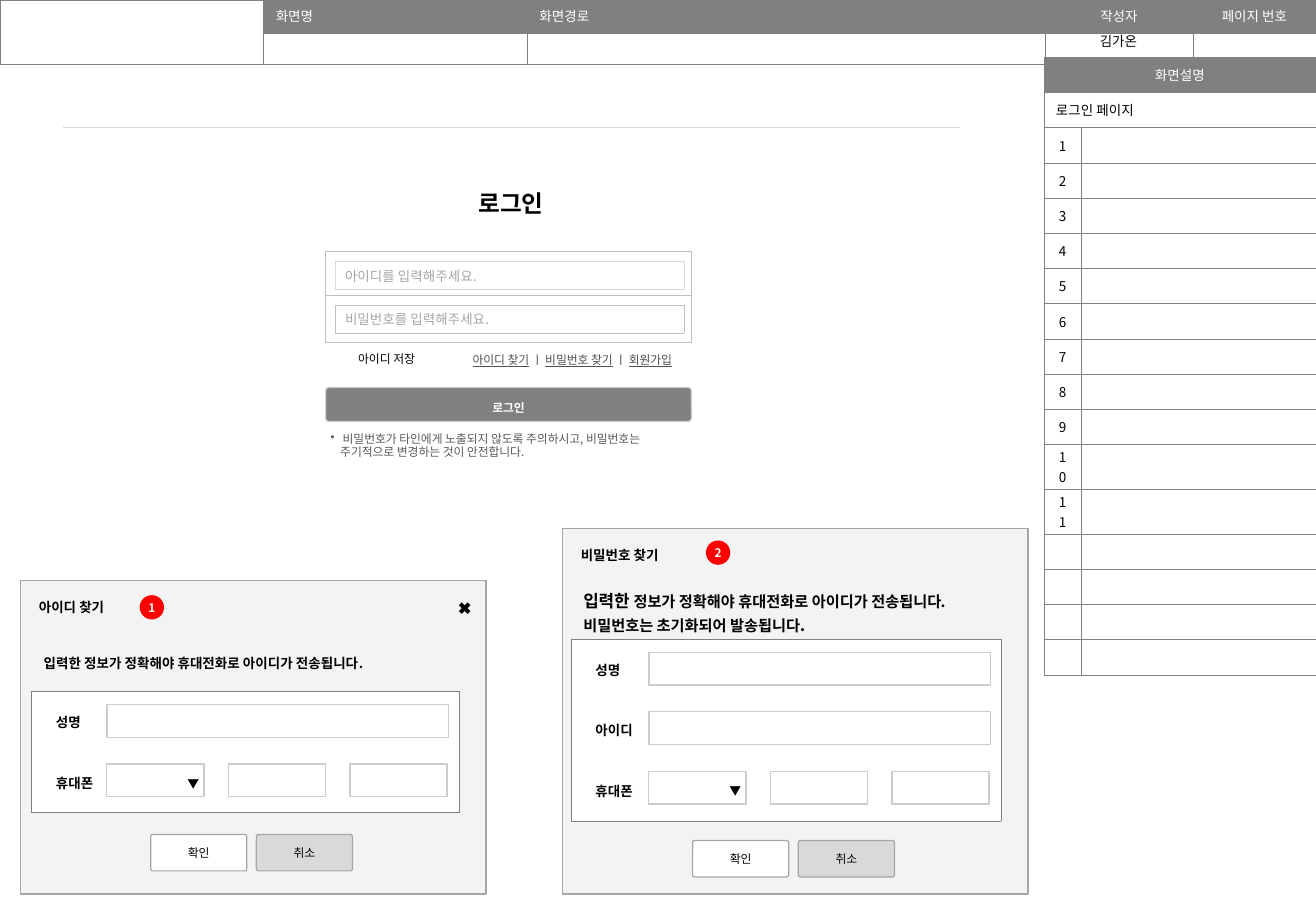
from lxml.etree import SubElement
from pptx import Presentation
from pptx.dml.color import RGBColor
from pptx.enum.shapes import MSO_CONNECTOR, MSO_SHAPE
from pptx.enum.text import MSO_ANCHOR as Anchor, PP_ALIGN as Align
from pptx.oxml.ns import qn
from pptx.util import Inches, Pt

FONT = "Noto Sans CJK KR"
GRAY, SILVER, PALE, BLACK, WHITE = "808080", "BFBFBF", "D9D9D9", "000000", "FFFFFF"
NO_GRID = "{2D5ABB26-0587-4C30-8999-92F81FD0307C}"
SIDES = {"l": "a:lnL", "r": "a:lnR", "t": "a:lnT", "b": "a:lnB"}


def rgb(value):
    """Turn a hex string into a colour."""
    return RGBColor.from_string(value)


def write(frame, lines, size=8, color=BLACK, align=Align.LEFT, spacing=None, **style):
    """Fill a text frame with lines, each a string or a list of (text, format) runs."""
    for index, line in enumerate(lines):
        paragraph = frame.paragraphs[0] if index == 0 else frame.add_paragraph()
        paragraph.alignment = align
        if spacing:
            paragraph.line_spacing = spacing
        for words, extra in [(line, {})] if isinstance(line, str) else line:
            run = paragraph.add_run()
            run.text = words
            run.font.color.rgb = rgb(color)
            for name, value in {"name": FONT, "size": Pt(size), **style, **extra}.items():
                setattr(run.font, name, value)
            SubElement(run.font._element, qn("a:ea")).set("typeface", FONT)


def pad(holder, insets):
    """Set the four margins of a cell or a text frame."""
    for side, inset in zip(("left", "top", "right", "bottom"), insets):
        setattr(holder, f"margin_{side}", Inches(inset))


def label(slide, box, lines, insets=(0, 0, 0, 0), anchor=Anchor.MIDDLE, **style):
    """Place text without an outline."""
    frame = slide.shapes.add_textbox(*map(Inches, box)).text_frame
    frame.word_wrap = True
    frame.vertical_anchor = anchor
    pad(frame, insets)
    write(frame, lines, **style)
    return frame


def block(slide, box, fill, line=None, radius=0, text=None, insets=(0, 0, 0, 0), **style):
    """Place a filled rectangle, rounded by radius, with optional text."""
    kind = MSO_SHAPE.ROUNDED_RECTANGLE if radius else MSO_SHAPE.RECTANGLE
    shape = slide.shapes.add_shape(kind, *map(Inches, box))
    shape.shadow.inherit = False
    if radius:
        shape.adjustments[0] = radius
    shape.fill.solid()
    shape.fill.fore_color.rgb = rgb(fill)
    if line:
        shape.line.color.rgb = rgb(line)
        shape.line.width = Pt(0.75)
    else:
        shape.line.fill.background()
    if text:
        shape.text_frame.vertical_anchor = Anchor.MIDDLE
        pad(shape.text_frame, insets)
        write(shape.text_frame, [text], **style)


def border(cell, sides, color=GRAY, width=0.25):
    """Draw the named sides of a cell and clear the others."""
    properties = cell._tc.get_or_add_tcPr()
    for position, (side, tag) in enumerate(SIDES.items()):
        for earlier in properties.findall(qn(tag)):
            properties.remove(earlier)
        edge = properties.makeelement(qn(tag), {"w": str(Pt(width))})
        if side in sides:
            SubElement(SubElement(edge, qn("a:solidFill")), qn("a:srgbClr")).set("val", color)
        else:
            SubElement(edge, qn("a:noFill"))
        properties.insert(position, edge)


def grid(slide, left, top, columns, rows, sides="lrtb", color=GRAY, width=0.25):
    """Add a plain table with the given column widths and row heights."""
    box = (left, top, sum(columns), sum(rows))
    table = slide.shapes.add_table(len(rows), len(columns), *map(Inches, box)).table
    table.first_row = table.horz_banding = False
    table._tbl.tblPr.find(qn("a:tableStyleId")).text = NO_GRID
    for column, span in zip(table.columns, columns):
        column.width = Inches(span)
    for row, height in zip(table.rows, rows):
        row.height = Inches(height)
    for cell in table.iter_cells():
        cell.fill.background()
        border(cell, sides, color, width)
        cell.text_frame.paragraphs[0]._p.get_or_add_endParaRPr().set("sz", "800")
    return table


def paint(cell, fill):
    """Fill a cell with one colour."""
    cell.fill.solid()
    cell.fill.fore_color.rgb = rgb(fill)


def page_header(slide, left, top):
    """Build the strip with screen name, route, author and page number."""
    header = grid(slide, left, top, (2.17, 2.17, 4.26, 1.22, 1.01), (0.27, 0.26))
    header.cell(0, 0).merge(header.cell(1, 0))
    for column, title in enumerate(("화면명", "화면경로", "작성자", "페이지 번호"), 1):
        cell = header.cell(0, column)
        paint(cell, GRAY)
        write(cell.text_frame, [title], color=WHITE, align=Align.CENTER if column > 2 else Align.LEFT)
    label(slide, (left + 8.59, top + 0.22, 1.23, 0.24), ["김가온"], (0.1, 0.05, 0.1, 0.05),
          Anchor.TOP, align=Align.CENTER)


def description_panel(slide, left, top):
    """Build the numbered list of screen notes."""
    heights = [0.29] * 11 + [0.37] * 2 + [0.29] * 4
    notes = grid(slide, left, top, (0.31, 1.93), heights)
    for cell in notes.iter_cells():
        cell.vertical_anchor = Anchor.MIDDLE
        pad(cell, (0.1, 0.02, 0.1, 0.02))
    for row in range(2):
        notes.cell(row, 0).merge(notes.cell(row, 1))
    paint(notes.cell(0, 0), GRAY)
    write(notes.cell(0, 0).text_frame, ["화면설명"], color=WHITE, align=Align.CENTER)
    write(notes.cell(1, 0).text_frame, ["로그인 페이지"])
    for number in range(1, 12):
        write(notes.cell(number + 1, 0).text_frame, [str(number)], align=Align.CENTER)


def login_form(slide, left, top, width):
    """Build the login title, inputs, links, button and advice."""
    label(slide, (left - 0.69, top - 0.54, 4.43, 0.28), ["로그인"], size=14, bold=True, align=Align.CENTER)
    grid(slide, left, top, [width], (0.36, 0.39), color=SILVER)
    prompts = (("아이디를 입력해주세요.", PALE, 0.75), ("비밀번호를 입력해주세요.", SILVER, 0.25))
    for index, (prompt, color, weight) in enumerate(prompts):
        entry = grid(slide, left + 0.08, top + 0.08 + 0.36 * index, [2.87], [0.23],
                     color=color, width=weight).cell(0, 0)
        entry.vertical_anchor = Anchor.MIDDLE
        pad(entry, (0.08, 0.02, 0.08, 0.02))
        paint(entry, WHITE)
        write(entry.text_frame, [prompt], color="A6A6A6")
    block(slide, (left, top + 1.12, width, 0.28), GRAY, "CCCCCC", 0.1, "로그인", [0.02] * 4,
          size=7, color=WHITE, bold=True, align=Align.CENTER, spacing=1.5)
    advice = label(slide, (left, top + 1.46, width, 0.28),
                   ["비밀번호가 타인에게 노출되지 않도록 주의하시고, 비밀번호는", "주기적으로 변경하는 것이 안전합니다."],
                   [0.04] * 4, size=7, color="595959", spacing=0.95)
    first, second = (paragraph._p.get_or_add_pPr() for paragraph in advice.paragraphs)
    first.set("marL", str(Inches(0.1)))
    first.set("indent", str(Inches(-0.1)))
    SubElement(first, qn("a:buChar")).set("char", "•")
    second.set("marL", str(Inches(0.08)))
    linked, divider = {"underline": True}, (" ㅣ ", {})
    label(slide, (left + 0.98, top + 0.75, 2.1, 0.23),
          [[("아이디 찾기", linked), divider, ("비밀번호 찾기", linked), divider, ("회원가입", linked)]],
          size=7, color="505050", align=Align.CENTER, spacing=1.5)
    label(slide, (left + 0.17, top + 0.78, 0.77, 0.22), ["아이디 저장"], (0.1, 0.05, 0.1, 0.05),
          Anchor.TOP, size=7)


def find_dialog(slide, box, title, badge, notice, fields, margin, buttons_top, closable=False):
    """Build a lookup dialog whose last field is a three-part phone number."""
    left, top, width, height = box
    block(slide, box, "F3F3F3", "A6A6A6")
    label(slide, (left + 0.15, top + 0.07, 3.4, 0.3), [title], bold=True)
    if closable:
        label(slide, (left + 3.52, top + 0.07, 0.27, 0.3), ["✖"], size=10, align=Align.CENTER)
    for index, (action, fill) in enumerate((("확인", WHITE), ("취소", PALE))):
        block(slide, (left + 1.07 + 0.87 * index, buttons_top, 0.79, 0.3), fill, "A6A6A6", 0.06,
              action, size=7, align=Align.CENTER)

    form_top, last = top + 0.44, len(fields)
    form = grid(slide, left + margin, form_top, (0.83, width - margin - 1.05), [0.47] + [0.5] * last, sides="")
    for column in range(2):
        border(form.cell(0, column), "b")
    form.cell(0, 0).merge(form.cell(0, 1))
    form.cell(0, 0).vertical_anchor = Anchor.MIDDLE
    write(form.cell(0, 0).text_frame, notice, bold=True)
    for row, field in enumerate(fields, 1):
        for column, side in enumerate("lr"):
            cell = form.cell(row, column)
            paint(cell, WHITE)
            border(cell, side + "t" * (row == 1) + "b" * (row == last))
        name = form.cell(row, 0)
        name.vertical_anchor = Anchor.MIDDLE
        pad(name, (0.2, 0.05, 0.2, 0.05))
        write(name.text_frame, [field], bold=True)
        entry_top = form_top + 0.09 + 0.49 * row
        if row < last:
            block(slide, (left + 0.71, entry_top, 2.81, 0.27), WHITE, "CCCCCC")
            continue
        for part, mark in enumerate(("▼", None, None)):
            block(slide, (left + 0.71 + part, entry_top, 0.8, 0.27), WHITE, "CCCCCC", text=mark,
                  insets=(0.04, 0, 0.04, 0), size=7, align=Align.RIGHT, spacing=1.5)
    number, across, down = badge
    block(slide, (left + across, top + down, 0.2, 0.2), "FF0000", radius=0.5, text=number,
          size=7, color=WHITE, bold=True, align=Align.CENTER)


def main():
    """Build and save the login wireframe."""
    deck = Presentation()
    deck.slide_width, deck.slide_height = Inches(10.83), Inches(7.5)
    slide = deck.slides.add_slide(deck.slide_layouts[6])
    page_header(slide, 0, 0)
    description_panel(slide, 8.59, 0.47)
    rule = slide.shapes.add_connector(MSO_CONNECTOR.STRAIGHT, *map(Inches, (0.52, 1.05, 7.9, 1.05)))
    rule.line.color.rgb = rgb(PALE)
    rule.line.width = Pt(0.75)
    SubElement(rule._element.spPr, qn("a:effectLst"))
    login_form(slide, 2.68, 2.07, 3.01)
    find_dialog(slide, (0.17, 4.78, 3.83, 2.58), "아이디 찾기", ("1", 0.98, 0.12),
                ["입력한 정보가 정확해야 휴대전화로 아이디가 전송됩니다."], ("성명", "휴대폰"), 0.09, 6.87, True)
    large, medium = {"size": Pt(10)}, {"size": Pt(9)}
    find_dialog(slide, (4.63, 4.35, 3.83, 3.01), "비밀번호 찾기", ("2", 1.18, 0.1),
                [[("입력한 ", large), ("정보가 정확해야 휴대전화로 아이디가 전송됩니다.", medium)],
                 [("비밀번호는 초기화되어 발송됩니다", medium), (".", large)]],
                ("성명", "아이디", "휴대폰"), 0.07, 6.92)
    deck.save("out.pptx")


if __name__ == "__main__":
    main()
